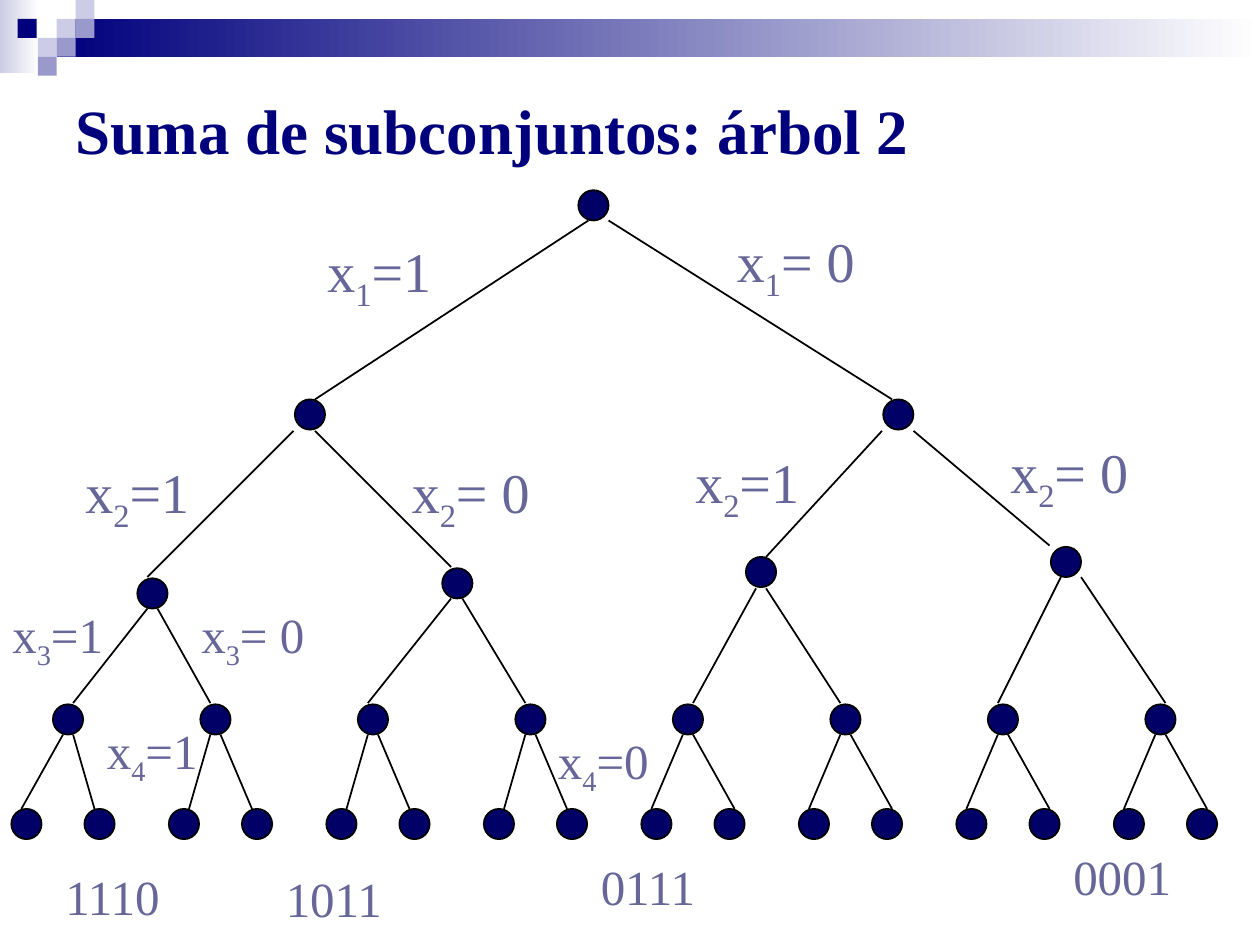
from lxml import etree
from pptx import Presentation
from pptx.dml.color import RGBColor
from pptx.enum.shapes import MSO_CONNECTOR, MSO_SHAPE
from pptx.enum.text import MSO_ANCHOR, MSO_AUTO_SIZE, PP_ALIGN
from pptx.oxml.ns import qn
from pptx.util import Inches, Pt

RECTANGLE, OVAL = MSO_SHAPE.RECTANGLE, MSO_SHAPE.OVAL
STRAIGHT = MSO_CONNECTOR.STRAIGHT
LEFT, MIDDLE = PP_ALIGN.LEFT, MSO_ANCHOR.MIDDLE
GROW = MSO_AUTO_SIZE.SHAPE_TO_FIT_TEXT
FONT = "Times New Roman"

BLACK = RGBColor(0x00, 0x00, 0x00)
WHITE = RGBColor(0xFF, 0xFF, 0xFF)
NAVY = RGBColor(0x00, 0x00, 0x7D)
NODE_BLUE = RGBColor(0x00, 0x00, 0x66)
LABEL_GREY = RGBColor(0x66, 0x66, 0x99)
LILAC = RGBColor(0x99, 0x99, 0xCC)
PALE_LILAC = RGBColor(0xCC, 0xCC, 0xE6)

NODE_SIZE = 0.24
SQUARE_SIZE = 0.15

presentation = Presentation()
presentation.slide_width = Inches(10)
presentation.slide_height = Inches(7.5)
slide = presentation.slides.add_slide(presentation.slide_layouts[5])


def add_plain_shape(kind, left, top, width, height):
    """Add a preset shape without shadow or outline."""
    shape = slide.shapes.add_shape(
        kind, Inches(left), Inches(top), Inches(width), Inches(height))
    shape.shadow.inherit = False
    shape.line.fill.background()
    return shape


def add_label(left, top, width, height, size, parts):
    """Add a label whose parts are (text, is_subscript) pairs."""
    box = slide.shapes.add_textbox(
        Inches(left), Inches(top), Inches(width), Inches(height))
    frame = box.text_frame
    frame.word_wrap = True
    frame.auto_size = GROW
    for text, is_subscript in parts:
        run = frame.paragraphs[0].add_run()
        run.text = text
        run.font.name = FONT
        run.font.size = Pt(size)
        run.font.color.rgb = LABEL_GREY
        if is_subscript:
            run._r.get_or_add_rPr().set("baseline", "-25000")


# Header: two fading bars and a staircase of squares
for left, top, width, height, start_color in [
    (0, 0, 0.31, 0.58, PALE_LILAC),
    (0.45, 0.15, 9.55, 0.3, NAVY),
]:
    bar = add_plain_shape(RECTANGLE, left, top, width, height)
    bar.fill.gradient()
    bar.fill.gradient_angle = 0
    for stop, color, position in zip(bar.fill.gradient_stops, (start_color, WHITE), (0, 1)):
        stop.color.rgb = color
        stop.position = position

for left, top, color in [
    (0.45, 0.15, PALE_LILAC), (0.6, 0, PALE_LILAC), (0.6, 0.15, LILAC),
    (0.3, 0.3, PALE_LILAC), (0.14, 0.15, NAVY), (0.45, 0.3, LILAC),
    (0.3, 0.45, LILAC),
]:
    square = add_plain_shape(RECTANGLE, left, top, SQUARE_SIZE, SQUARE_SIZE)
    square.fill.solid()
    square.fill.fore_color.rgb = color

title = slide.shapes.title
title.left, title.top = Inches(0.5), Inches(0.5)
title.width, title.height = Inches(9.3), Inches(1.05)
title.text_frame.vertical_anchor = MIDDLE
title_paragraph = title.text_frame.paragraphs[0]
title_paragraph.alignment = LEFT
title_run = title_paragraph.add_run()
title_run.text = "Suma de subconjuntos: árbol 2"
title_run.font.name = FONT
title_run.font.size = Pt(36)
title_run.font.bold = True
title_run.font.color.rgb = NAVY

# Upper tree: node corners, and branches as (x1, y1, x2, y2)
nodes = [
    (4.59, 1.51), (2.34, 3.17), (7.01, 3.17),
    (1.09, 4.59), (3.51, 4.51), (5.92, 4.42), (8.34, 4.34),
]
branches = [
    (4.67, 1.75, 2.5, 3.17), (4.83, 1.75, 7.08, 3.17),
    (2.33, 3.42, 1.17, 4.58), (2.5, 3.42, 3.58, 4.5),
    (7, 3.42, 6.08, 4.42), (7.25, 3.42, 8.33, 4.33),
    (1.17, 4.83, 0.58, 5.58), (1.25, 4.83, 1.67, 5.58),
    (3.58, 4.75, 2.92, 5.58), (3.67, 4.75, 4.17, 5.58),
    (6, 4.67, 5.5, 5.58), (6.08, 4.67, 6.67, 5.58),
    (8.42, 4.58, 7.92, 5.58), (8.58, 4.58, 9.25, 5.58),
]

# Lower tree: eight parents, each with two leaves
for index in range(8):
    offset = 1.25 * index
    parent = 0.42 if index == 0 else 0.34 + offset
    left_leaf, right_leaf = 0.09 + offset, 0.67 + offset
    nodes += [(parent, 5.59), (left_leaf, 6.42), (right_leaf, 6.42)]
    left_end = left_leaf + (0.16 if 1 <= index <= 3 else 0.08)
    right_end = right_leaf + (0.16 if index >= 4 else 0.08)
    branches += [(parent + 0.08, 5.83, left_end, 6.42),
                 (parent + 0.16, 5.83, right_end, 6.42)]

for branch in branches:
    connector = slide.shapes.add_connector(STRAIGHT, *map(Inches, branch))
    connector.line.color.rgb = BLACK
    connector.line.width = Pt(1)
    etree.SubElement(connector._element.spPr, qn("a:effectLst"))

for left, top in nodes:
    node = add_plain_shape(OVAL, left, top, NODE_SIZE, NODE_SIZE)
    node.fill.solid()
    node.fill.fore_color.rgb = NODE_BLUE
    node.line.color.rgb = BLACK
    node.line.width = Pt(1)

# Branch labels: x, subscript, value
for left, top, subscript, value in [
    (2.5, 1.83, "1", "=1"), (5.75, 1.75, "1", "= 0"),
    (0.58, 3.58, "2", "=1"), (3.17, 3.58, "2", "= 0"),
    (5.42, 3.5, "2", "=1"), (7.92, 3.42, "2", "= 0"),
    (0, 4.75, "3", "=1"), (1.5, 4.75, "3", "= 0"),
    (0.75, 5.67, "4", "=1"), (4.33, 5.75, "4", "=0"),
]:
    size, height = (32, 0.71) if subscript in "12" else (28, 0.63)
    add_label(left, top, 1.17, height, size,
              [("x", False), (subscript, True), (value, False)])

for left, top, solution in [
    (0.42, 6.83, "1110"), (2.17, 6.84, "1011"),
    (4.67, 6.75, "0111"), (8.42, 6.67, "0001"),
]:
    add_label(left, top, 1, 0.57, 28, [(solution, False)])

presentation.save("out.pptx")
